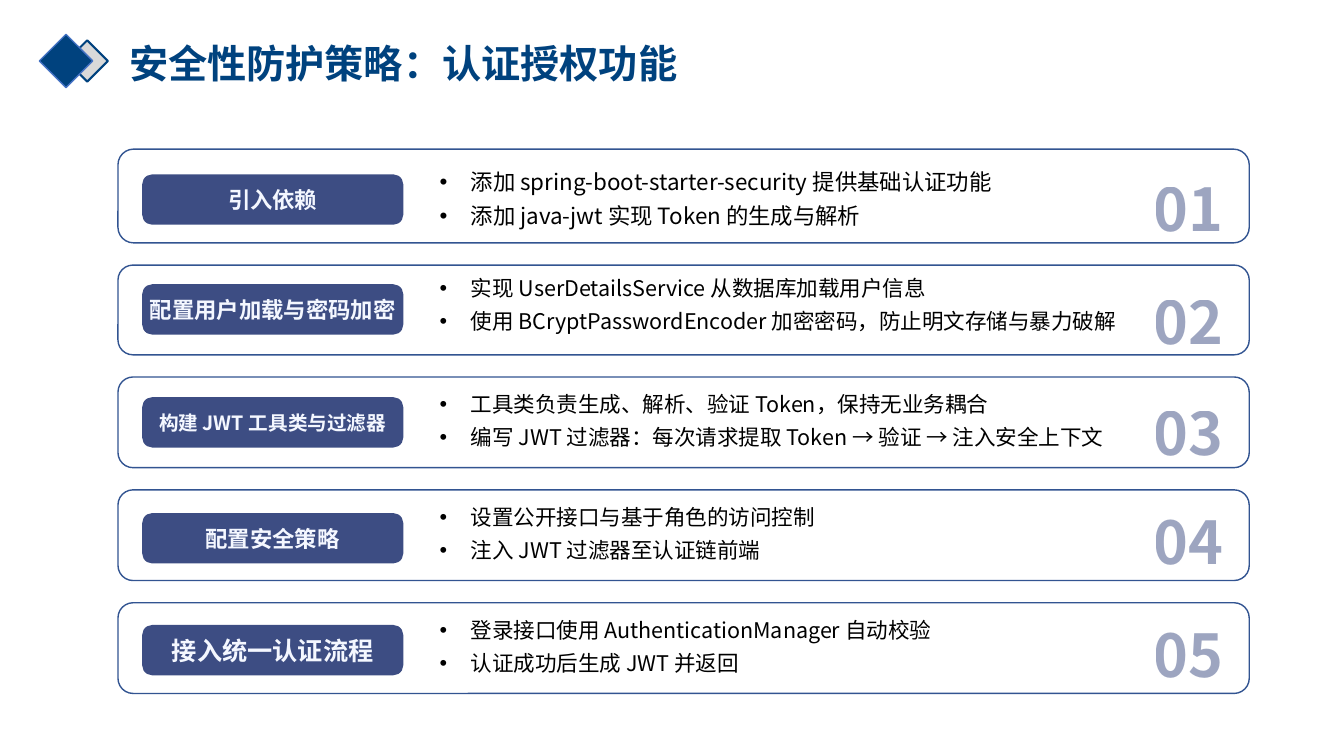
from dataclasses import dataclass

from lxml import etree
from pptx import Presentation
from pptx.dml.color import RGBColor
from pptx.enum import shapes, text
from pptx.oxml import ns
from pptx.util import Inches, Pt


@dataclass(frozen=True)
class Theme:
    font: str = "Noto Sans CJK SC"
    title: str = "00427E"
    accent: str = "3D4D83"
    border: str = "325491"
    label: str = "F4F7FF"
    body: str = "000000"
    gray: str = "D9D9D9"
    edge: str = "4472C4"
    title_size: float = 28
    number_size: float = 42.2


theme = Theme()
SHAPE = shapes.MSO_SHAPE

# Card top, card height, pill top, number top, list top, label, label size, list size, list items
steps = [
    (1.48, 0.93, 1.73, 1.49, 1.53, "引入依赖", 16, 16,
     ["添加 spring-boot-starter-security 提供基础认证功能",
      "添加 java-jwt 实现 Token 的生成与解析"]),
    (2.63, 0.89, 2.82, 2.61, 2.59, "配置用户加载与密码加密", 16, 15.4,
     ["实现 UserDetailsService 从数据库加载用户信息",
      "使用 BCryptPasswordEncoder 加密密码，防止明文存储与暴力破解"]),
    (3.74, 0.9, 3.94, 3.71, 3.74, "构建 JWT 工具类与过滤器", 14, 15.4,
     ["工具类负责生成、解析、验证 Token，保持无业务耦合",
      "编写 JWT 过滤器：每次请求提取 Token → 验证 → 注入安全上下文"]),
    (4.86, 0.9, 5.09, 4.79, 4.86, "配置安全策略", 16, 15.4,
     ["设置公开接口与基于角色的访问控制",
      "注入 JWT 过滤器至认证链前端"]),
    (5.98, 0.9, 6.2, 5.91, 5.98, "接入统一认证流程", 18, 15.4,
     ["登录接口使用 AuthenticationManager 自动校验",
      "认证成功后生成 JWT 并返回"]),
]


def add_shape(kind, left, top, width, height, fill=None, line=None, weight=1):
    sp = s.shapes.add_shape(kind, Inches(left), Inches(top), Inches(width), Inches(height))
    sp.shadow.inherit = False
    if fill:
        sp.fill.solid()
        sp.fill.fore_color.rgb = RGBColor.from_string(fill)
    else:
        sp.fill.background()
    if line:
        sp.line.color.rgb = RGBColor.from_string(line)
        sp.line.width = Pt(weight)
    else:
        sp.line.fill.background()
    return sp


def add_run(p, words, size, color, bold=False):
    """Add a run set in the theme font for both Latin and Chinese letters."""
    r = p.add_run()
    r.text = words
    r.font.name = theme.font
    r.font.size = Pt(size)
    r.font.bold = bold
    r.font.color.rgb = RGBColor.from_string(color)
    r.font._element.find(ns.qn("a:latin")).addnext(
        etree.Element(ns.qn("a:ea"), typeface=theme.font))
    return r


prs = Presentation()
prs.slide_width, prs.slide_height = Inches(13.33), Inches(7.5)
s = prs.slides.add_slide(prs.slide_layouts[5])

# Heading
title = s.shapes.title
title.left, title.top, title.width, title.height = map(Inches, (1.18, 0.39, 6.22, 0.48))
tf = title.text_frame
tf.vertical_anchor = text.MSO_ANCHOR.TOP
tf.auto_size = text.MSO_AUTO_SIZE.NONE
p = tf.paragraphs[0]
p.alignment = text.PP_ALIGN.LEFT
p.line_spacing = 0.9
add_run(p, "安全性防护策略：认证授权功能", theme.title_size, theme.title, True)
add_shape(SHAPE.DIAMOND, 0.66, 0.4, 0.41, 0.41, theme.gray, theme.title, 1.5)
add_shape(SHAPE.DIAMOND, 0.39, 0.34, 0.53, 0.53, theme.title, theme.edge)

# Steps
for number, step in enumerate(steps, 1):
    card_top, card_height, pill_top, number_top, list_top, label, label_size, list_size, items = step
    add_shape(SHAPE.ROUNDED_RECTANGLE, 1.17, card_top, 11.22, card_height, line=theme.border)

    pill = add_shape(SHAPE.ROUNDED_RECTANGLE, 1.41, pill_top, 2.59, 0.5, theme.accent)
    pill.adjustments[0] = 0.2
    tf = pill.text_frame
    tf.margin_left = tf.margin_right = tf.margin_top = tf.margin_bottom = 0
    tf.vertical_anchor = text.MSO_ANCHOR.MIDDLE
    p = tf.paragraphs[0]
    p.alignment = text.PP_ALIGN.CENTER
    add_run(p, label, label_size, theme.label, True)

    number_box = s.shapes.add_textbox(Inches(11.2), Inches(number_top), Inches(1.18), Inches(1.04))
    list_box = s.shapes.add_textbox(Inches(4.22), Inches(list_top), Inches(7.2), Inches(0.87))
    for box in (number_box, list_box):
        tf = box.text_frame
        tf.word_wrap = True
        tf.margin_left = tf.margin_right = tf.margin_top = tf.margin_bottom = Inches(0.14)

    p = number_box.text_frame.paragraphs[0]
    p.alignment = text.PP_ALIGN.CENTER
    p.line_spacing = 1.12
    r = add_run(p, f"{number:02}", theme.number_size, theme.accent, True)
    color = r.font._element.find(".//" + ns.qn("a:srgbClr"))
    etree.SubElement(color, ns.qn("a:alpha"), val="50000")

    tf = list_box.text_frame
    for i, item in enumerate(items):
        p = tf.add_paragraph() if i else tf.paragraphs[0]
        pPr = p._p.get_or_add_pPr()
        pPr.set("marL", str(Inches(0.31)))
        pPr.set("indent", str(-Inches(0.31)))
        etree.SubElement(pPr, ns.qn("a:buFont"), typeface="Arial")
        etree.SubElement(pPr, ns.qn("a:buChar"), char="•")
        p.alignment = text.PP_ALIGN.JUSTIFY
        if i:
            p.space_before = Pt(5)
        add_run(p, item, list_size, theme.body)

prs.save("out.pptx")
